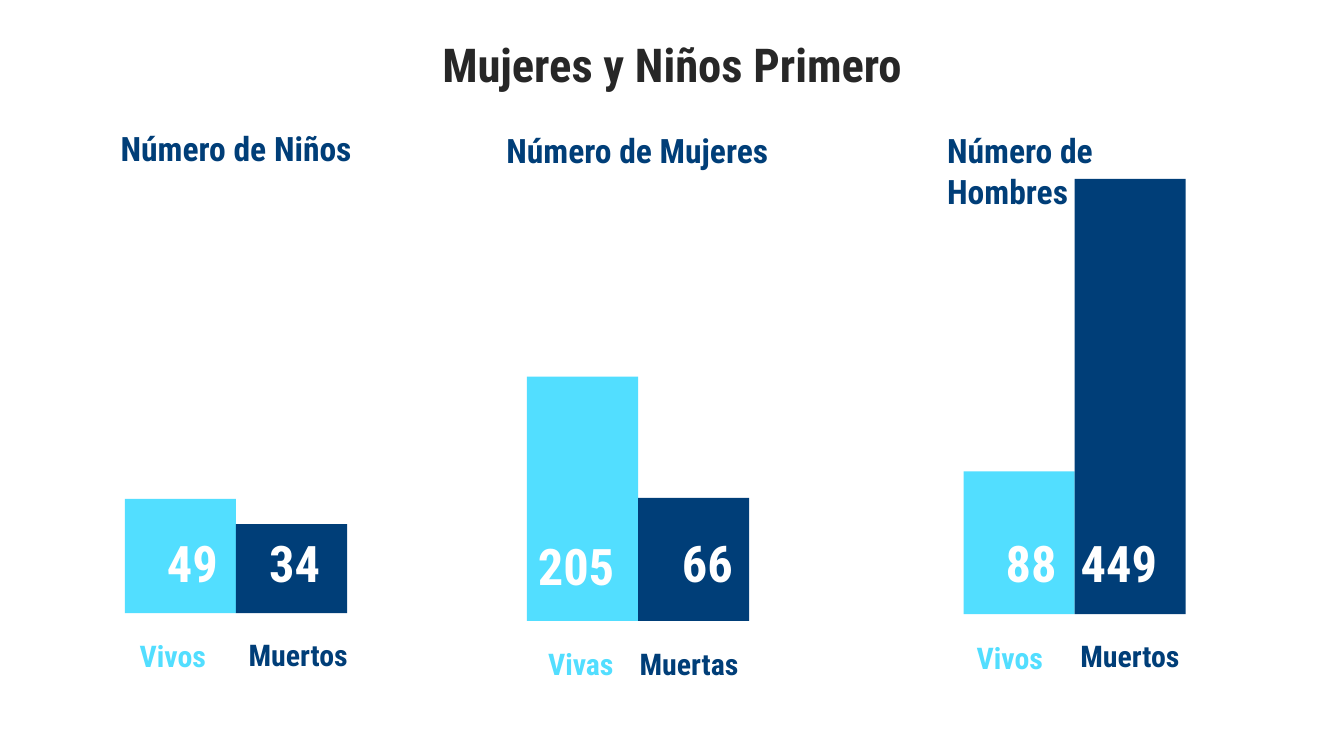
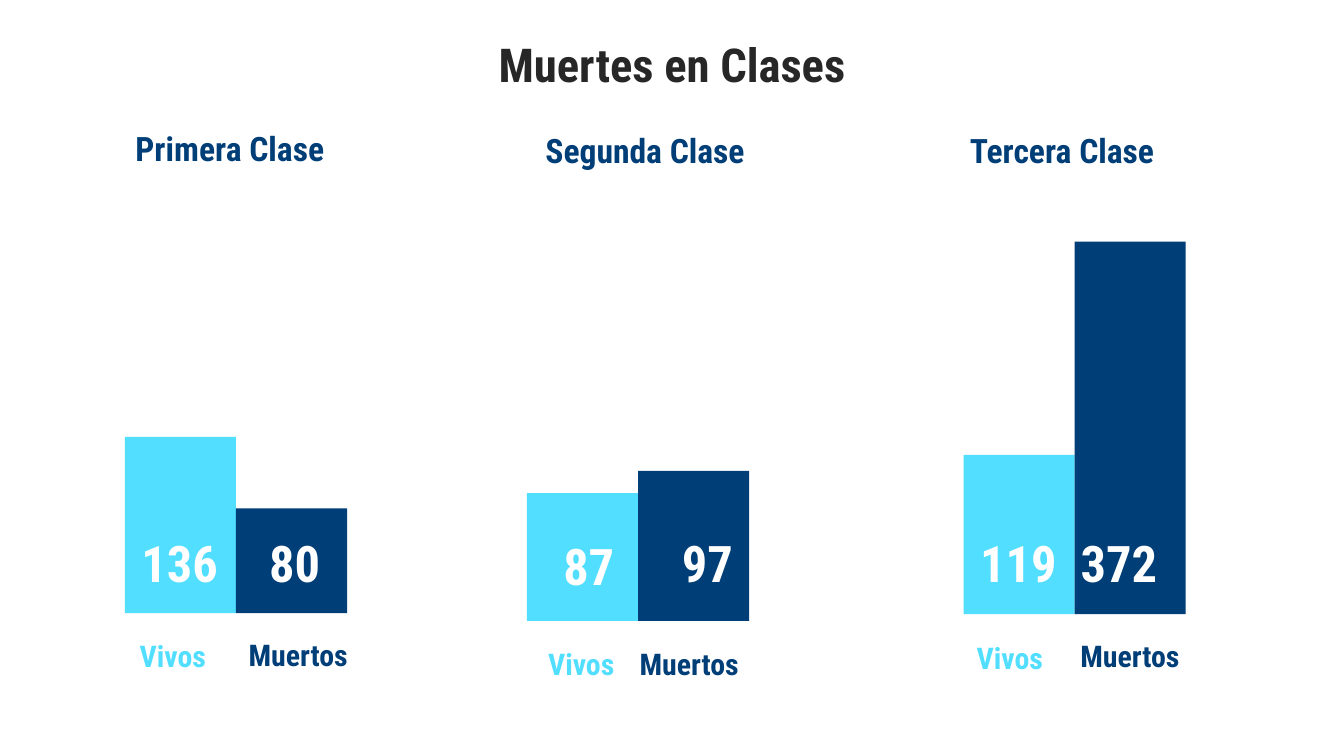
from pptx import Presentation
from pptx.dml.color import RGBColor
from pptx.enum.shapes import MSO_SHAPE
from pptx.enum.text import MSO_ANCHOR, MSO_AUTO_SIZE, PP_ALIGN
from pptx.util import Cm, Pt

RECTANGLE = MSO_SHAPE.RECTANGLE
TOP, MIDDLE = MSO_ANCHOR.TOP, MSO_ANCHOR.MIDDLE
LEFT, CENTER, RIGHT = PP_ALIGN.LEFT, PP_ALIGN.CENTER, PP_ALIGN.RIGHT
NO_AUTOFIT = MSO_AUTO_SIZE.NONE

FONT = "Roboto Condensed"
INK, NAVY, SKY, WHITE = "272727", "003E78", "52DEFF", "FFFFFF"
BAR_COLORS = (SKY, NAVY)
BAR_WIDTH = 2.1
INSET = 0.25
TITLE_BOX = (1.27, 0.43, 22.86, 1.37)
HEADING_HEIGHT = 1.3
VALUE_SIZE = (2.26, 0.69)
LABEL_SIZES = ((2.11, 1.07), (5.23, 1.32))

COLUMNS = [
    {"left": 2.36, "base": 11.59, "heading_top": 2.16,
     "values": ((2.11, 10.29), (4.04, 10.29)),
     "labels": ((2.39, 11.81), (4.45, 11.79))},
    {"left": 9.96, "base": 11.74, "heading_top": 2.21,
     "values": ((9.6, 10.34), (11.84, 10.29)),
     "labels": ((10.11, 11.96), (11.84, 11.96))},
    {"left": 18.21, "base": 11.61, "heading_top": 2.21,
     "values": ((17.96, 10.29), (19.86, 10.29)),
     "labels": ((18.21, 11.84), (20.17, 11.81))},
]

SLIDES = [
    ("Mujeres y Niños Primero", [
        {"heading": "Número de Niños", "place": (2.03, 4.95),
         "bars": [("Vivos", "49", 2.16), ("Muertos", "34", 1.68)]},
        {"heading": "Número de Mujeres", "place": (9.32, 6),
         "bars": [("Vivas", "205", 4.62), ("Muertas", "66", 2.33)]},
        {"heading": "Número de Hombres", "place": (17.65, 5.66),
         "bars": [("Vivos", "88", 2.7), ("Muertos", "449", 8.23)]},
    ]),
    ("Muertes en Clases", [
        {"heading": "Primera Clase", "place": (2.31, 5.23),
         "bars": [("Vivos", "136", 3.33), ("Muertos", "80", 1.98)]},
        {"heading": "Segunda Clase", "place": (10.06, 4.65),
         "bars": [("Vivos", "87", 2.42), ("Muertos", "97", 2.84)]},
        {"heading": "Tercera Clase", "place": (18.08, 5.08),
         "bars": [("Vivos", "119", 3.01), ("Muertos", "372", 7.04)]},
    ]),
]


def color(hex_value):
    return RGBColor.from_string(hex_value)


def write(box, text, size, hex_value, align=LEFT, anchor=TOP, space_after=0):
    frame = box.text_frame
    frame.text = text
    frame.word_wrap = True
    frame.auto_size = NO_AUTOFIT
    frame.vertical_anchor = anchor
    frame.margin_left = frame.margin_right = Cm(INSET)
    frame.margin_top = frame.margin_bottom = Cm(INSET)
    para = frame.paragraphs[0]
    para.alignment = align
    para.space_after = Pt(space_after)
    span = para.runs[0]
    span.font.name = FONT
    span.font.size = Pt(size)
    span.font.bold = True
    span.font.color.rgb = color(hex_value)


def add_text(page, place, text, size, hex_value, **style):
    box = page.shapes.add_textbox(*map(Cm, place))
    write(box, text, size, hex_value, **style)


def add_bar(page, left, base, height, hex_value):
    bar = page.shapes.add_shape(
        RECTANGLE, Cm(left), Cm(base - height), Cm(BAR_WIDTH), Cm(height))
    bar.shadow.inherit = False
    bar.fill.solid()
    bar.fill.fore_color.rgb = color(hex_value)
    bar.line.fill.background()


def add_title(page, text):
    title = page.shapes.title
    title.left, title.top, title.width, title.height = map(Cm, TITLE_BOX)
    write(title, text, 25, INK, align=CENTER)


def add_group(page, column, group):
    for index, (label, value, height) in enumerate(group["bars"]):
        bar_color = BAR_COLORS[index]
        add_bar(page, column["left"] + index * BAR_WIDTH, column["base"],
                height, bar_color)
        add_text(page, column["values"][index] + VALUE_SIZE, value, 27, WHITE,
                 align=RIGHT, anchor=MIDDLE)
        add_text(page, column["labels"][index] + LABEL_SIZES[index], label, 16,
                 bar_color)
    left, width = group["place"]
    add_text(page, (left, column["heading_top"], width, HEADING_HEIGHT),
             group["heading"], 18, NAVY, space_after=16)


def main():
    deck = Presentation()
    deck.slide_width, deck.slide_height = Cm(25.4), Cm(14.29)
    title_only = deck.slide_layouts[5]
    for title, groups in SLIDES:
        page = deck.slides.add_slide(title_only)
        add_title(page, title)
        for column, group in zip(COLUMNS, groups):
            add_group(page, column, group)
    deck.save("out.pptx")


if __name__ == "__main__":
    main()
